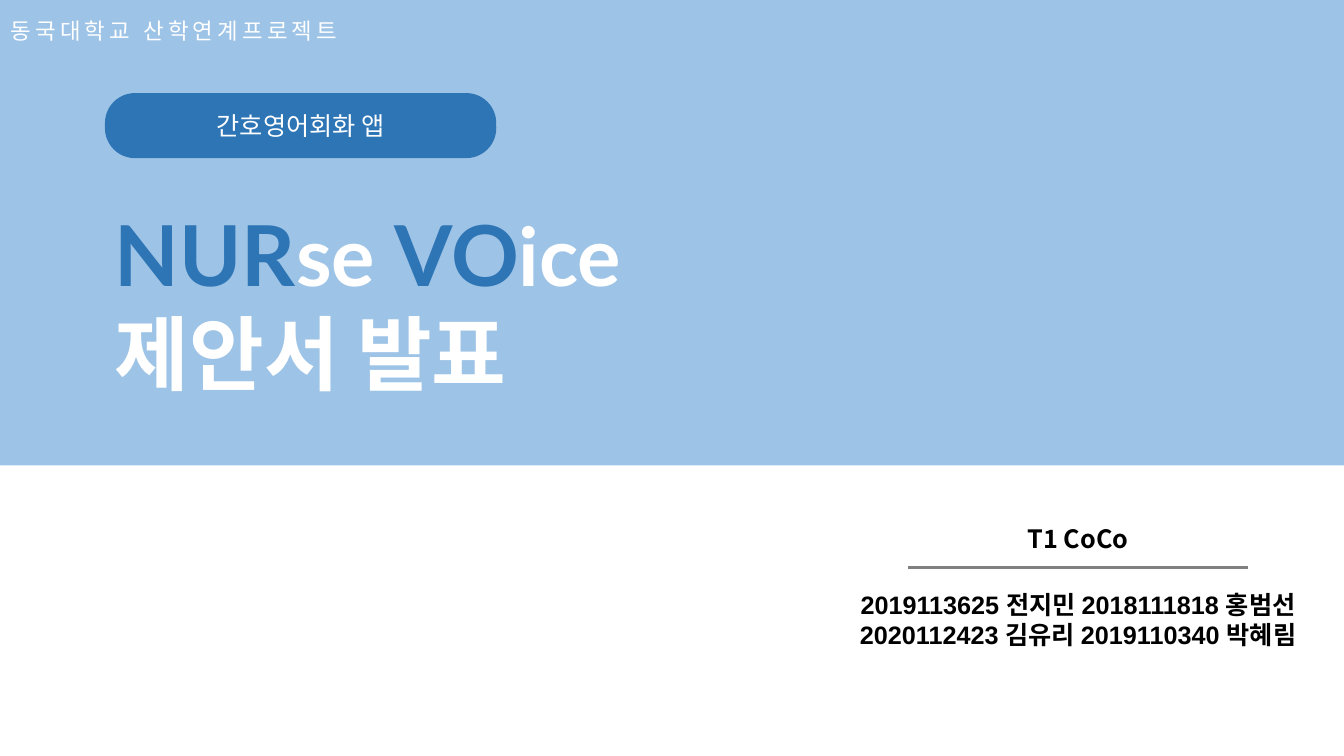
from dataclasses import dataclass

from lxml.etree import SubElement
from pptx import Presentation
from pptx.dml.color import RGBColor
from pptx.enum.shapes import MSO_CONNECTOR, MSO_SHAPE
from pptx.enum.text import MSO_ANCHOR, MSO_AUTO_SIZE, PP_ALIGN
from pptx.oxml.ns import qn
from pptx.util import Pt


@dataclass(frozen=True)
class Theme:
    sky: str = "9DC3E6"
    blue: str = "2E75B6"
    white: str = "FFFFFF"
    black: str = "000000"
    gray: str = "808080"
    sans: str = "Noto Sans CJK KR"
    title_font: str = "Lato"
    member_font: str = "Arial"
    header: float = 16
    body: float = 18
    title: float = 58
    title_accent: float = 60


THEME = Theme()


def style_run(r, size, color, font=THEME.sans, bold=False, spacing=0):
    r.font.size = Pt(size)
    r.font.bold = bold
    r.font.color.rgb = RGBColor.from_string(color)
    r.font.name = font
    # Korean glyphs use the East Asian font slot
    rPr = r._r.get_or_add_rPr()
    SubElement(rPr, qn("a:ea")).set("typeface", THEME.sans)
    if spacing:
        rPr.set("spc", str(spacing * 100))


def add_block(slide, shape, x, y, w, h, fill):
    sp = slide.shapes.add_shape(shape, Pt(x), Pt(y), Pt(w), Pt(h))
    sp.shadow.inherit = False
    sp.fill.solid()
    sp.fill.fore_color.rgb = RGBColor.from_string(fill)
    sp.line.fill.background()
    return sp


def add_text(slide, x, y, w, h, lines, align=PP_ALIGN.LEFT, wrap=True, **style):
    """Each line is a list of (text, size, color) runs."""
    tf = slide.shapes.add_textbox(Pt(x), Pt(y), Pt(w), Pt(h)).text_frame
    tf.word_wrap = wrap
    tf.auto_size = MSO_AUTO_SIZE.SHAPE_TO_FIT_TEXT
    for i, line in enumerate(lines):
        p = tf.add_paragraph() if i else tf.paragraphs[0]
        p.alignment = align
        for text, size, color in line:
            r = p.add_run()
            r.text = text
            style_run(r, size, color, **style)


def add_pill(slide, x, y, w, h, text):
    sp = add_block(slide, MSO_SHAPE.ROUNDED_RECTANGLE, x, y, w, h, THEME.blue)
    sp.adjustments[0] = 0.46
    tf = sp.text_frame
    tf.vertical_anchor = MSO_ANCHOR.MIDDLE
    p = tf.paragraphs[0]
    p.text = text
    p.alignment = PP_ALIGN.CENTER
    style_run(p.runs[0], THEME.body, THEME.white)


def add_rule(slide, x1, x2, y):
    line = slide.shapes.add_connector(MSO_CONNECTOR.STRAIGHT, Pt(x1), Pt(y), Pt(x2), Pt(y))
    line.line.color.rgb = RGBColor.from_string(THEME.gray)
    line.line.width = Pt(2)
    SubElement(line._element.spPr, qn("a:effectLst"))


def main():
    t = THEME
    prs = Presentation()
    prs.slide_width, prs.slide_height = Pt(960), Pt(540)
    slide = prs.slides.add_slide(prs.slide_layouts[6])

    # Banner with course name and topic
    add_block(slide, MSO_SHAPE.RECTANGLE, 0, 0, 960, 332.5, t.sky)
    add_text(slide, 0.5, 8.5, 273, 26.5,
             [[("동국대학교 산학연계프로젝트", t.header, t.white)]],
             wrap=False, spacing=3)
    add_pill(slide, 75, 66.5, 279.5, 46.5, "간호영어회화 앱")

    # Title
    add_text(slide, 75, 141, 740, 150.5, [
        [("NUR", t.title_accent, t.blue), ("se ", t.title, t.white),
         ("VO", t.title_accent, t.blue), ("ice", t.title, t.white)],
        [("제안서 발표", t.title, t.white)],
    ], font=t.title_font, bold=True)

    # Team and members
    add_text(slide, 727, 370, 99.5, 29, [[("T1 CoCo", t.body, t.black)]], bold=True)
    add_rule(slide, 648.5, 891.5, 405.5)
    members = ["2019113625 전지민 2018111818 홍범선",
               "2020112423 김유리 2019110340 박혜림"]
    add_text(slide, 589, 417.5, 362, 51, [[(m, t.body, t.black)] for m in members],
             align=PP_ALIGN.CENTER, font=t.member_font, bold=True)

    prs.save("out.pptx")


if __name__ == "__main__":
    main()
